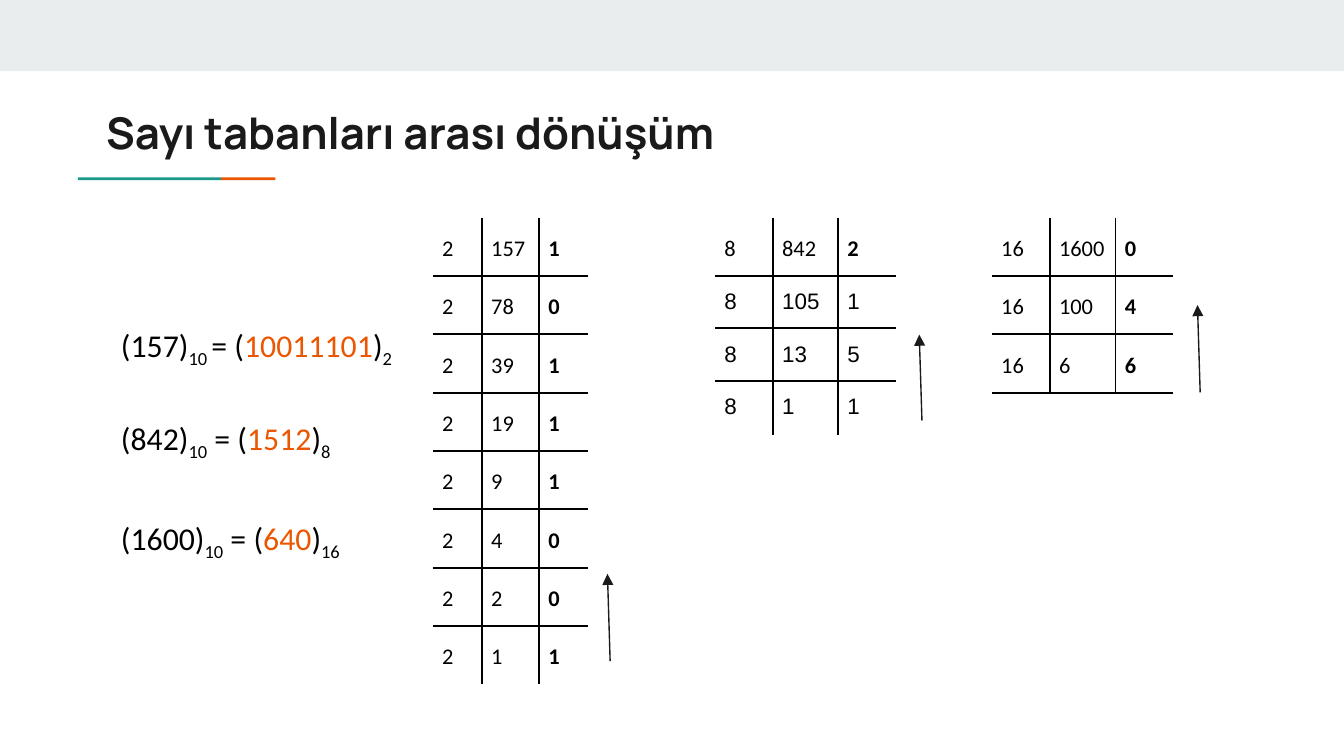
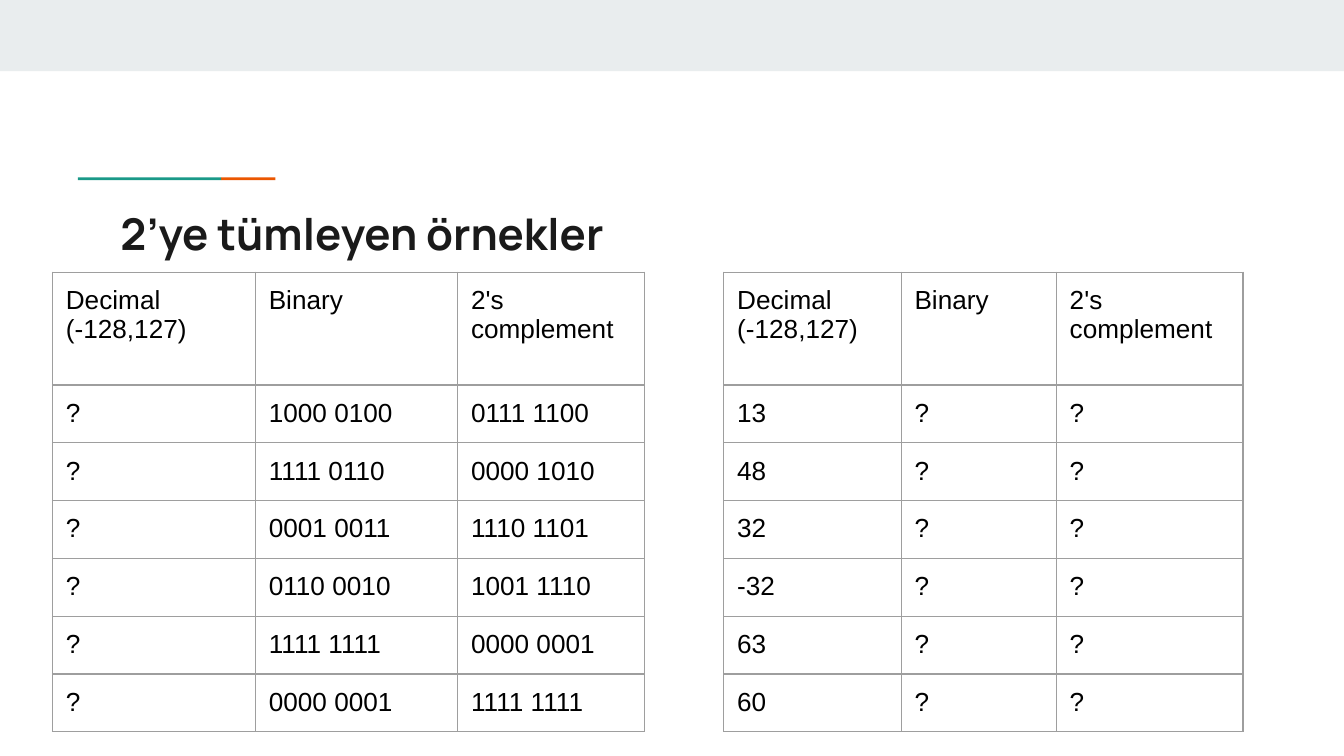
from lxml.etree import SubElement
from pptx import Presentation
from pptx.dml.color import RGBColor
from pptx.enum.shapes import MSO_CONNECTOR, MSO_SHAPE
from pptx.enum.text import MSO_ANCHOR, MSO_AUTO_SIZE, PP_ALIGN
from pptx.oxml.ns import qn
from pptx.util import Pt

EMU_PER_PX = 4572  # 200 px to the inch

COLORS = {
    "band": "E9EDEE",
    "teal": "1A9988",
    "orange": "EB5600",
    "ink": "1A1A1A",
    "black": "000000",
    "grid": "9E9E9E",
}
TITLE_FONT = {"name": "Manrope", "size": Pt(23.4), "bold": True}
BODY_FONT = {"name": "Calibri", "size": Pt(17), "bold": False}
DIVISION_FONT = {"name": "Calibri", "size": Pt(12), "bold": False}
PLAIN_DIVISION_FONT = {"name": "Arial", "size": Pt(12), "bold": False}
EXAMPLE_FONT = {"name": "Arial", "size": Pt(14), "bold": False}


def px(*lengths):
    return [length * EMU_PER_PX for length in lengths]


def rgb(color):
    return RGBColor.from_string(COLORS[color])


def set_values(target, values):
    for name, value in values.items():
        setattr(target, name, value)


class Deck:
    """Holds the shared style and the slide being filled."""

    def __init__(self, width, height):
        self.presentation = Presentation()
        self.presentation.slide_width, self.presentation.slide_height = px(width, height)
        self.slide = None

    def new_slide(self, layout, title, left, top):
        layouts = self.presentation.slide_layouts
        self.slide = self.presentation.slides.add_slide(layouts.get_by_name(layout))
        # Top band and two-colour accent line, behind everything else
        self.back_bar(0, 0, 2000, 106, "band")
        self.back_bar(116, 264, 213, 4, "teal")
        self.back_bar(329, 264, 81, 4, "orange")
        frame = self.place(self.slide.shapes.title, left, top, 1682, 118)
        paragraph = frame.paragraphs[0]
        paragraph.alignment = PP_ALIGN.LEFT
        self.run(paragraph, title, TITLE_FONT, "ink")

    def back_bar(self, left, top, width, height, color):
        shape = self.slide.shapes.add_shape(
            MSO_SHAPE.RECTANGLE, *px(left, top, width, height))
        shape.shadow.inherit = False
        shape.fill.solid()
        shape.fill.fore_color.rgb = rgb(color)
        shape.line.fill.background()
        self.slide.shapes._spTree.insert(2, shape._element)

    def place(self, placeholder, left, top, width, height):
        box = zip(("left", "top", "width", "height"), px(left, top, width, height))
        set_values(placeholder, dict(box))
        frame = placeholder.text_frame
        set_values(frame, {
            "word_wrap": True,
            "auto_size": MSO_AUTO_SIZE.NONE,
            "vertical_anchor": MSO_ANCHOR.TOP,
        })
        sides = ("margin_left", "margin_top", "margin_right", "margin_bottom")
        set_values(frame, dict.fromkeys(sides, px(20)[0]))
        return frame

    def run(self, paragraph, text, font, color="black", subscript=False):
        run = paragraph.add_run()
        run.text = text
        set_values(run.font, font)
        run.font.color.rgb = rgb(color)
        if subscript:
            run.font._element.set("baseline", "-25000")

    def equations(self, left, top, width, height, equations):
        frame = self.place(self.slide.placeholders[1], left, top, width, height)
        for index, (gap, runs) in enumerate(equations):
            paragraph = frame.add_paragraph() if index else frame.paragraphs[0]
            set_values(paragraph, {"line_spacing": 1.15, "space_before": Pt(gap)})
            properties = paragraph._p.get_or_add_pPr()
            properties.set("marL", "0")
            properties.set("indent", "0")
            SubElement(properties, qn("a:buNone"))
            for text, color, subscript in runs:
                self.run(paragraph, text, BODY_FONT, color, subscript)

    def table(self, left, top, columns, heights, rows, margin, cell_style, edges):
        """edges(row, column) tells the sides to draw, as (colour, points, letters)."""
        frame = self.slide.shapes.add_table(
            len(rows), len(columns), *px(left, top, sum(columns), sum(heights)))
        table = frame.table
        set_values(table, {"first_row": False, "horz_banding": False})
        for column, width in zip(table.columns, px(*columns)):
            column.width = width
        for row, height in zip(table.rows, px(*heights)):
            row.height = height
        for row_index, texts in enumerate(rows):
            for column_index, text in enumerate(texts):
                cell = table.cell(row_index, column_index)
                side, end = px(margin, 20)
                set_values(cell, {"margin_left": side, "margin_right": side,
                                  "margin_top": end, "margin_bottom": end})
                self.borders(cell, *edges(row_index, column_index))
                cell.fill.background()
                font, spacing = cell_style(row_index, column_index)
                cell.text = text
                for paragraph in cell.text_frame.paragraphs:
                    paragraph.line_spacing = spacing
                    for run in paragraph.runs:
                        set_values(run.font, font)
                        run.font.color.rgb = rgb("black")

    def borders(self, cell, color, points, letters):
        properties = cell._tc.get_or_add_tcPr()
        for letter in "LRTB":
            line = SubElement(properties, qn(f"a:ln{letter}"), w=str(Pt(points)))
            if letter in letters:
                fill = SubElement(line, qn("a:solidFill"))
                SubElement(fill, qn("a:srgbClr"), val=COLORS[color])
            else:
                SubElement(line, qn("a:noFill"))

    def division_table(self, left, columns, divisor, steps, heights,
                       closed=False, plain_from=None):
        """Repeated division: divisor, quotient and remainder in each row."""
        rows = [(divisor, *step) for step in steps]
        last = len(rows) - 1

        def edges(row, column):
            letters = "L" * (column > 0) + "R" * (column < 2)
            letters += "T" * (row > 0) + "B" * (row < last or closed)
            return "black", 1.13, letters

        def cell_style(row, column):
            if plain_from is not None and row >= plain_from:
                return PLAIN_DIVISION_FONT, 1.0
            return {**DIVISION_FONT, "bold": column == 2}, 1.15

        self.table(left, 324, columns, heights, rows, 14, cell_style, edges)

    def example_table(self, left, columns, examples):
        header = ("Decimal\n(-128,127)", "Binary", "2's complement")
        heights = [168] + [86] * len(examples)
        self.table(left, 405, columns, heights, [header, *examples], 20,
                   lambda row, column: (EXAMPLE_FONT, 1.0),
                   lambda row, column: ("grid", 0.75, "LRTB"))

    def arrow(self, start, end):
        connector = self.slide.shapes.add_connector(
            MSO_CONNECTOR.STRAIGHT, *px(*start, *end))
        connector.line.color.rgb = rgb("ink")
        connector.line.width = Pt(0.75)
        SubElement(connector.line._get_or_add_ln(), qn("a:tailEnd"), type="triangle")
        SubElement(connector._element.spPr, qn("a:effectLst"))


def equation(decimal, decimal_base, equals, result, base):
    return [
        (f"({decimal})", "black", False),
        (decimal_base, "black", True),
        (equals, "black", False),
        (result, "orange", False),
        (")", "black", False),
        (base, "black", True),
    ]


def main():
    deck = Deck(2000, 1125)

    # Slide 1: conversion between number bases
    deck.new_slide("Title and Content", "Sayı tabanları arası dönüşüm", 138, 138)
    deck.equations(160, 455, 1682, 494, [
        (0, equation("157", "10 ", "= (", "10011101", "2")),
        (23, equation("842", "10", " = (", "1512", "8")),
        (27, equation("1600", "10", " = (", "640", "16")),
    ])
    binary_steps = [("157", "1"), ("78", "0"), ("39", "1"), ("19", "1"),
                    ("9", "1"), ("4", "0"), ("2", "0"), ("1", "1")]
    octal_steps = [("842", "2"), ("105", "1"), ("13", "5"), ("1", "1")]
    hex_steps = [("1600", "0"), ("100", "4"), ("6", "6")]
    deck.division_table(644, [73, 85, 73], "2", binary_steps, [86] * 8)
    deck.arrow((908, 984), (904, 854))
    deck.division_table(1064, [86, 97, 86], "8", octal_steps, [86, 78, 78, 80],
                        plain_from=1)
    deck.arrow((1372, 626), (1368, 498))
    deck.division_table(1476, [86, 98, 86], "16", hex_steps, [86] * 3, closed=True)
    deck.arrow((1786, 584), (1782, 454))

    # Slide 2: two's complement exercises
    deck.new_slide("Title Only", "2’ye tümleyen örnekler", 159, 288)
    deck.example_table(78, [302, 301, 278], [
        ("?", "1000 0100", "0111 1100"),
        ("?", "1111 0110", "0000 1010"),
        ("?", "0001 0011", "1110 1101"),
        ("?", "0110 0010", "1001 1110"),
        ("?", "1111 1111", "0000 0001"),
        ("?", "0000 0001", "1111 1111"),
    ])
    decimals = ("13", "48", "32", "-32", "63", "60")
    deck.example_table(1077, [264, 231, 278],
                       [(decimal, "?", "?") for decimal in decimals])

    deck.presentation.save("out.pptx")


if __name__ == "__main__":
    main()
